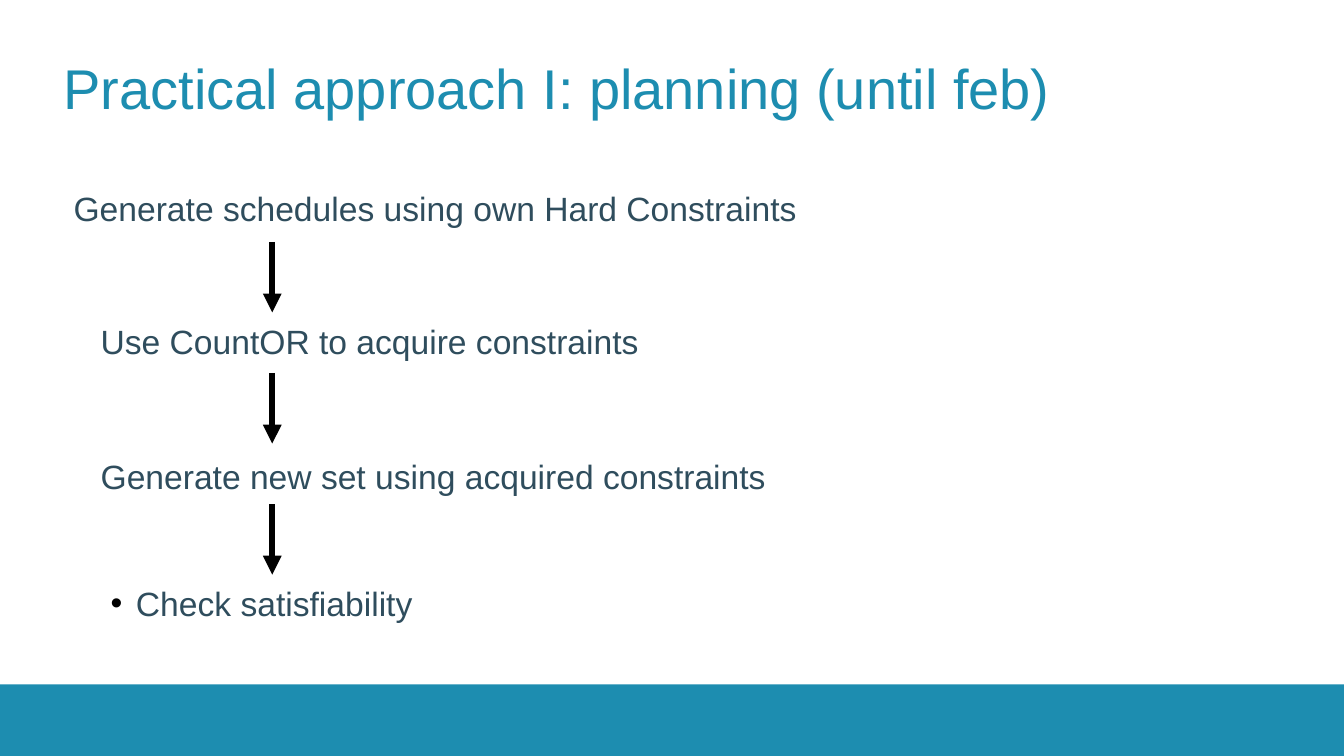
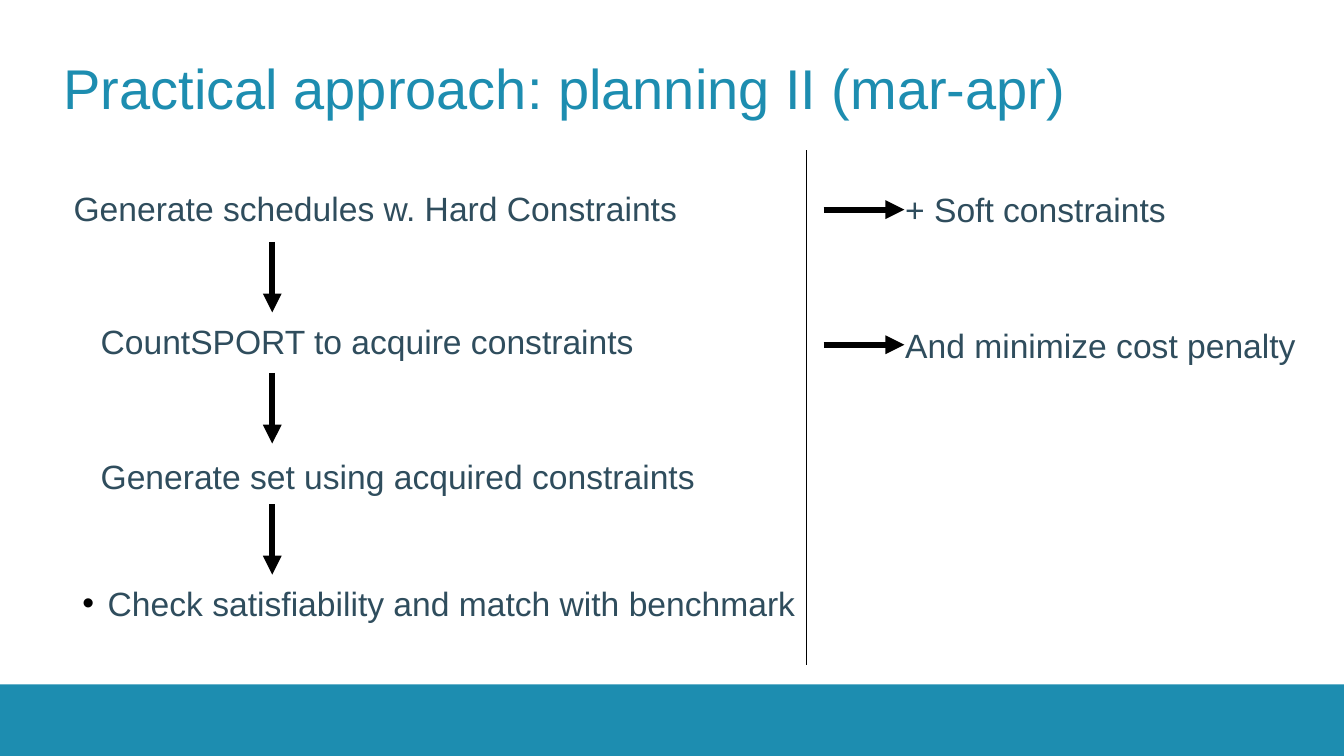
import dataclasses

import pptx
import pptx.dml.color
import pptx.enum.shapes
import pptx.enum.text
import pptx.oxml
import pptx.util

Inches = pptx.util.Inches
NS = 'xmlns:a="http://schemas.openxmlformats.org/drawingml/2006/main"'


@dataclasses.dataclass(frozen=True)
class Theme:
    font: str = "Arial"
    teal: str = "1D8DB0"
    slate: str = "2F4D5D"
    black: str = "000000"
    head: float = 40
    text: float = 24
    thick: float = 4.5
    thin: float = 0.75
    title: tuple = (0.63, 0.23, 12.07, 1.26)
    body: tuple = (0.63, 1.81, 12.07, 4.88)
    band: tuple = (0, 6.79, 13.33, 0.71)


THEME = Theme()

# Each step is (text, left, top, width); the last one carries a bullet.
PLANS = [
    {
        "title": "Practical approach I: planning (until feb)",
        "lead": "Generate schedules using own Hard Constraints",
        "steps": [
            ("Use CountOR to acquire constraints", 0.9, 3.13, 7.2),
            ("Generate new set using acquired constraints", 0.9, 4.47, 9.4),
            ("Check satisfiability", 1, 5.73, 9.5),
        ],
        "extras": [],
    },
    {
        "title": "Practical approach: planning II (mar-apr)",
        "lead": "Generate schedules w. Hard Constraints",
        "steps": [
            ("CountSPORT to acquire constraints", 0.9, 3.13, 6.2),
            ("Generate set using acquired constraints", 0.9, 4.47, 6.8),
            ("Check satisfiability and match with benchmark", 0.72, 5.73, 7.3),
        ],
        "extras": [("+ Soft constraints", 1.83), ("And minimize cost penalty", 3.17)],
    },
]


def rgb(code):
    return pptx.dml.color.RGBColor.from_string(code)


def node(tag, attrs="", inner=""):
    return pptx.oxml.parse_xml(f"<a:{tag} {NS} {attrs}>{inner}</a:{tag}>")


def place(shape, box):
    shape.left, shape.top, shape.width, shape.height = map(Inches, box)


def style(para, size, color):
    for run in para.runs:
        run.font.name = THEME.font
        run.font.size = pptx.util.Pt(size)
        run.font.color.rgb = rgb(color)


def indent(para, bullet):
    """Hang the paragraph from a black bullet, or clear the inherited one."""
    props = para._p.get_or_add_pPr()
    hang = Inches(0.25) if bullet else 0
    props.set("marL", str(hang))
    props.set("indent", str(-hang))
    if bullet:
        props.append(node("buClr", inner=f'<a:srgbClr val="{THEME.black}"/>'))
        props.append(node("buFont", f'typeface="{THEME.font}"'))
        props.append(node("buChar", 'char="•"'))
    else:
        props.append(node("buNone"))


def add_text(slide, text, left, top, width, bullet=False):
    box = slide.shapes.add_textbox(*map(Inches, (left, top, width, 0.47)))
    frame = box.text_frame
    frame.word_wrap = True
    frame.auto_size = pptx.enum.text.MSO_AUTO_SIZE.SHAPE_TO_FIT_TEXT
    frame.text = text
    para = frame.paragraphs[0]
    if bullet:
        indent(para, True)
    style(para, THEME.text, THEME.slate)


def add_line(slide, ends, width):
    line = slide.shapes.add_connector(
        pptx.enum.shapes.MSO_CONNECTOR.STRAIGHT, *map(Inches, ends)
    )
    line.line.color.rgb = rgb(THEME.black)
    line.line.width = pptx.util.Pt(width)
    line.element.spPr.append(node("effectLst"))
    return line


def add_arrow(slide, *ends):
    arrow = add_line(slide, ends, THEME.thick)
    arrow.line._get_or_add_ln().append(node("tailEnd", 'type="triangle"'))


def set_band(deck, slide):
    """Draw the footer band and move it to the back of the slide master."""
    band = slide.shapes.add_shape(
        pptx.enum.shapes.MSO_SHAPE.RECTANGLE, *map(Inches, THEME.band)
    )
    band.shadow.inherit = False
    band.fill.solid()
    band.fill.fore_color.rgb = rgb(THEME.teal)
    band.line.fill.background()
    deck.slide_master.shapes.element.insert(2, band.element)


def fill_title(slide, text):
    frame = slide.shapes.title.text_frame
    frame.margin_left = frame.margin_right = 0
    frame.margin_top = frame.margin_bottom = 0
    frame.vertical_anchor = pptx.enum.text.MSO_ANCHOR.MIDDLE
    frame.text = text
    para = frame.paragraphs[0]
    para.alignment = pptx.enum.text.PP_ALIGN.LEFT
    style(para, THEME.head, THEME.teal)


def fill_body(slide, text):
    frame = slide.placeholders[1].text_frame
    frame.text = text
    para = frame.paragraphs[0]
    indent(para, False)
    para.space_before = pptx.util.Pt(0)
    style(para, THEME.text, THEME.slate)


def add_steps(slide, steps):
    for i, step in enumerate(steps):
        top = 2.4 + 1.3 * i
        add_arrow(slide, 2.7, top, 2.7, top + 0.7)
        add_text(slide, *step, bullet=step is steps[-1])


def add_extras(slide, extras):
    """Put the added goals to the right of a dividing line."""
    add_line(slide, (8, 1.49, 8, 6.6), THEME.thin)
    for text, top in extras:
        mid = top + 0.25
        add_arrow(slide, 8.17, mid, 8.97, mid)
        add_text(slide, text, 8.88, top, 4.45)


def add_plan(deck, layout, plan):
    slide = deck.slides.add_slide(layout)
    fill_title(slide, plan["title"])
    fill_body(slide, plan["lead"])
    add_steps(slide, plan["steps"])
    if plan["extras"]:
        add_extras(slide, plan["extras"])
    return slide


def main():
    deck = pptx.Presentation()
    deck.slide_width, deck.slide_height = Inches(13.33), Inches(7.5)
    layout = deck.slide_layouts[1]
    for holder, box in zip(layout.placeholders, (THEME.title, THEME.body)):
        place(holder, box)
    slides = [add_plan(deck, layout, plan) for plan in PLANS]
    set_band(deck, slides[0])
    deck.save("out.pptx")


if __name__ == "__main__":
    main()
